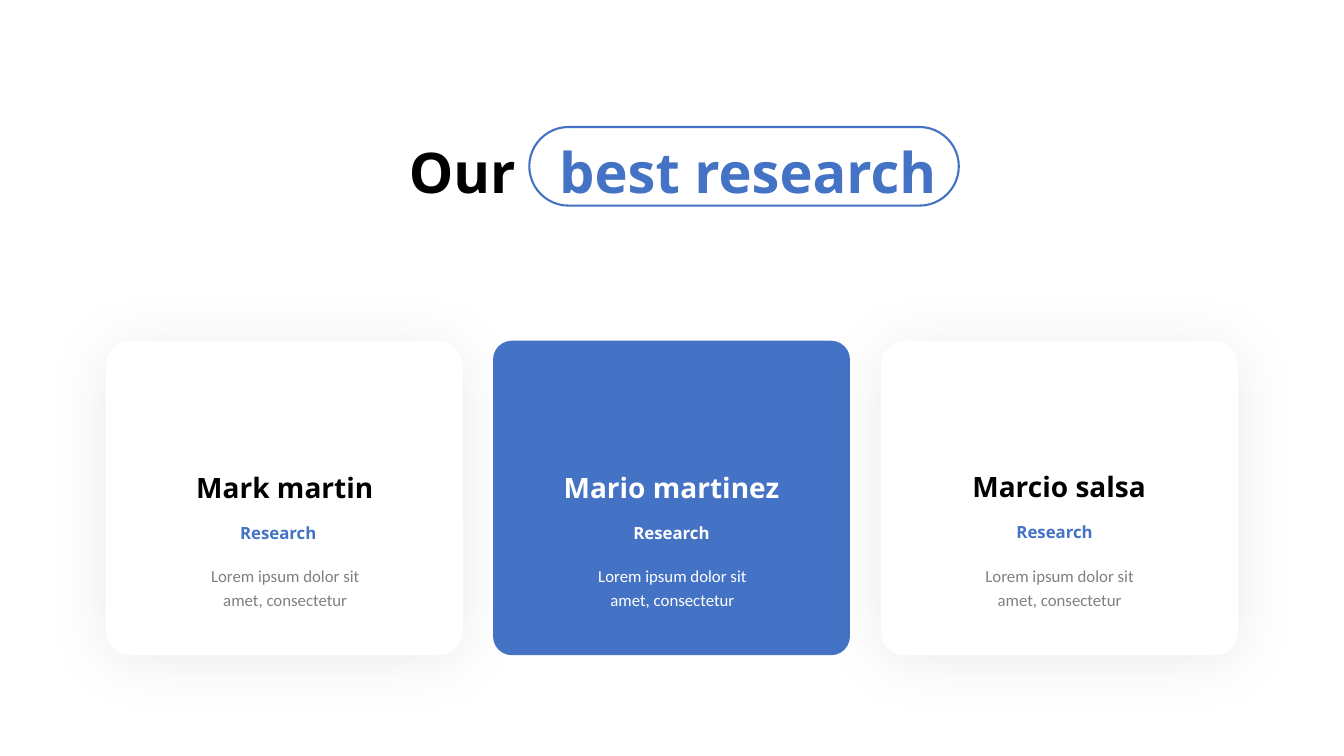
from pptx import Presentation
from pptx.dml.color import RGBColor
from pptx.enum.shapes import MSO_SHAPE
from pptx.enum.text import MSO_ANCHOR, MSO_AUTO_SIZE, PP_ALIGN
from pptx.oxml import parse_xml
from pptx.oxml.ns import nsdecls
from pptx.util import Pt

PX = 9144
COLORS = {"black": "000000", "white": "FFFFFF", "blue": "4472C4", "gray": "808080"}
HEADING_FONT, BODY_FONT = "Open Sans", "Calibri"
SOFT_SHADOW = (
    f'<a:effectLst {nsdecls("a")}>'
    '<a:outerShdw blurRad="571500" dist="50800" dir="5400000" algn="t" rotWithShape="0">'
    '<a:srgbClr val="000000"><a:alpha val="7000"/></a:srgbClr>'
    '</a:outerShdw></a:effectLst>'
)


class SlideBuilder:
    def __init__(self, width, height):
        self.deck = Presentation()
        self.deck.slide_width, self.deck.slide_height = width * PX, height * PX
        self.slide = self.deck.slides.add_slide(self.deck.slide_layouts[6])

    def color(self, name):
        return RGBColor.from_string(COLORS[name])

    def rounded(self, box, radius, fill=None, line=None, shadow=False):
        panel = self.slide.shapes.add_shape(
            MSO_SHAPE.ROUNDED_RECTANGLE, *(n * PX for n in box))
        panel.adjustments[0] = radius
        panel.shadow.inherit = False
        if fill:
            panel.fill.solid()
            panel.fill.fore_color.rgb = self.color(fill)
        else:
            panel.fill.background()
        if line:
            panel.line.color.rgb = self.color(line)
            panel.line.width = Pt(1.5)
        else:
            panel.line.fill.background()
        if shadow:
            effects = panel.shadow._element.effectLst
            effects.getparent().replace(effects, parse_xml(SOFT_SHADOW))

    def text(self, box, words, size, color, font=HEADING_FONT, bold=True, spacing=None):
        label = self.slide.shapes.add_textbox(*(n * PX for n in box))
        frame = label.text_frame
        frame.word_wrap = True
        frame.auto_size = MSO_AUTO_SIZE.SHAPE_TO_FIT_TEXT
        frame.vertical_anchor = MSO_ANCHOR.TOP
        paragraph = frame.paragraphs[0]
        paragraph.alignment = PP_ALIGN.CENTER
        if spacing:
            paragraph.line_spacing = spacing
        paragraph.font.name = font
        paragraph.font.size = Pt(size)
        paragraph.font.bold = bold
        paragraph.font.color.rgb = self.color(color)
        if words:
            paragraph.add_run().text = words
        return paragraph

    def title(self, box, lead, highlight):
        heading = self.text(box, lead, 40, "black", spacing=1.2)
        gap = heading.add_run()
        gap.text = " "
        gap._r.get_or_add_rPr().set("spc", "2080")
        accent = heading.add_run()
        accent.text = highlight
        accent.font.color.rgb = self.color("blue")


MEMBERS = [
    ("Mark martin", (177, 462, 211, 44), (175, 514, 202, 30), 0.079),
    ("Mario martinez", (545, 462, 242, 44), (565, 514, 202, 30), 0.06),
    ("Marcio salsa", (945, 461, 211, 44), (945, 513, 202, 30), 0.074),
]


def main():
    page = SlideBuilder(1333, 750)
    for index, (_, _, _, radius) in enumerate(MEMBERS):
        featured = index == 1
        page.rounded((105 + 769 * index // 2, 338, 354, 312), radius,
                     fill="blue" if featured else "white", shadow=not featured)
    for index, (name, name_box, role_box, _) in enumerate(MEMBERS):
        name_color, role_color, bio_color = (
            ("white",) * 3 if index == 1 else ("black", "blue", "gray"))
        page.text(name_box, name, 20, name_color)
        page.text(role_box, "Research", 12, role_color)
        page.text((181 + 384 * index, 552, 204, 57),
                  "Lorem ipsum dolor sit amet, consectetur", 12, bio_color,
                  font=BODY_FONT, bold=False, spacing=1.2)
    page.title((136, 118, 1062, 85), "Our", "best research")
    page.rounded((525, 126, 426, 78), 0.5, line="blue")
    page.deck.save("out.pptx")


if __name__ == "__main__":
    main()
